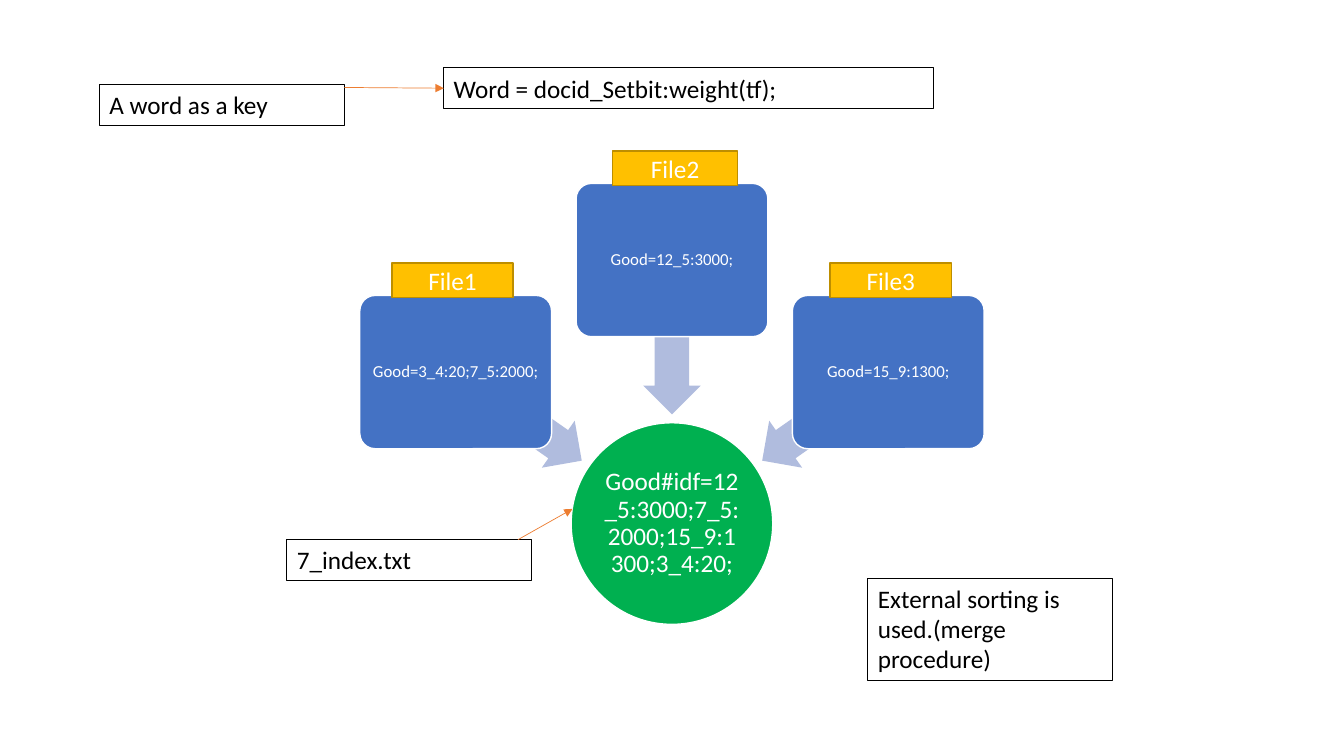
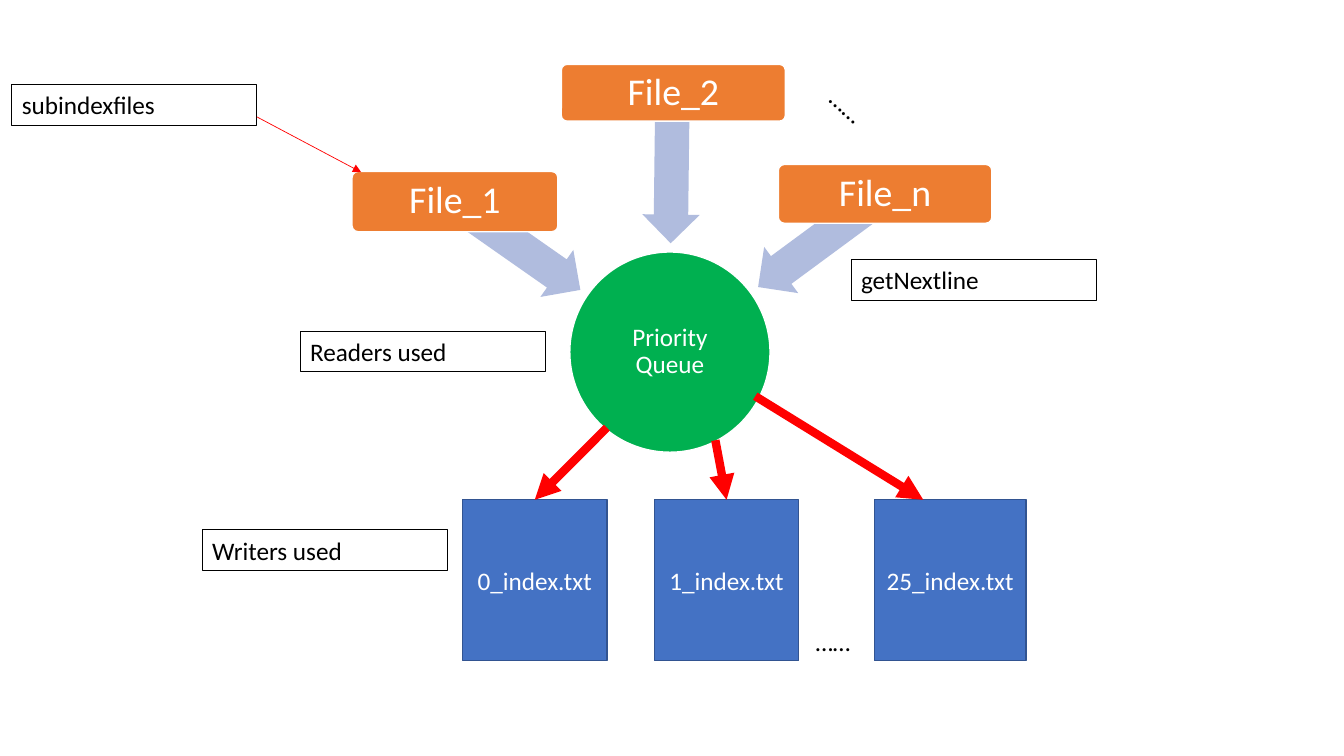
import pptx
import pptx.util
import pptx.dml.color
import pptx.enum.shapes
import pptx.enum.text
import pptx.oxml
import pptx.oxml.ns

Pt = pptx.util.Pt
RGBColor = pptx.dml.color.RGBColor
SHAPE = pptx.enum.shapes.MSO_SHAPE
ALIGN = pptx.enum.text.PP_ALIGN
ANCHOR = pptx.enum.text.MSO_ANCHOR

BLACK = RGBColor(0x00, 0x00, 0x00)
WHITE = RGBColor(0xFF, 0xFF, 0xFF)
BLUE = RGBColor(0x44, 0x72, 0xC4)
DARK_BLUE = RGBColor(0x32, 0x54, 0x91)
PALE_BLUE = RGBColor(0xB0, 0xBC, 0xDE)
GREEN = RGBColor(0x00, 0xB0, 0x50)
GOLD = RGBColor(0xFF, 0xC0, 0x00)
DARK_GOLD = RGBColor(0xBD, 0x8E, 0x00)
ORANGE = RGBColor(0xED, 0x7D, 0x31)
RED = RGBColor(0xFF, 0x00, 0x00)


class Diagram:
    font = "Calibri"
    text_size = 18
    note_width = 175
    note_height = 29

    def __init__(self):
        self.presentation = pptx.Presentation()
        self.presentation.slide_width = Pt(960)
        self.presentation.slide_height = Pt(540)
        self.slide = None

    def new_slide(self):
        self.slide = self.presentation.slides.add_slide(self.presentation.slide_layouts[6])

    def label(self, shape, text, color, size, alignment, anchor, inset=None, spacing=None):
        frame = shape.text_frame
        frame.word_wrap = True
        frame.vertical_anchor = anchor
        if inset is not None:
            frame.margin_left = frame.margin_right = Pt(inset)
            frame.margin_top = frame.margin_bottom = Pt(inset)
        frame.text = text
        paragraph = frame.paragraphs[0]
        paragraph.alignment = alignment
        paragraph.line_spacing = spacing
        font = paragraph.runs[0].font
        font.name, font.size, font.color.rgb = self.font, Pt(size), color

    def shape(self, kind, left, top, width, height, fill=None, line=None, line_width=1):
        shape = self.slide.shapes.add_shape(kind, Pt(left), Pt(top), Pt(width), Pt(height))
        shape.shadow.inherit = False
        if fill is None:
            shape.fill.background()
        else:
            shape.fill.solid()
            shape.fill.fore_color.rgb = fill
        if line is None:
            shape.line.fill.background()
        else:
            shape.line.color.rgb = line
            shape.line.width = Pt(line_width)
        return shape

    def note(self, text, left, top, width=note_width, height=note_height):
        shape = self.shape(SHAPE.RECTANGLE, left, top, width, height, None, BLACK, 0.75)
        self.label(shape, text, BLACK, self.text_size, ALIGN.LEFT, ANCHOR.TOP)
        return shape

    def block(self, text, left, top, width, height, fill, line):
        shape = self.shape(SHAPE.RECTANGLE, left, top, width, height, fill, line)
        self.label(shape, text, WHITE, self.text_size, ALIGN.CENTER, ANCHOR.MIDDLE)
        return shape

    def card(self, text, left, top, width, height, fill, size, inset):
        shape = self.shape(SHAPE.ROUNDED_RECTANGLE, left, top, width, height, fill, WHITE)
        shape.adjustments[0] = 0.1
        self.label(shape, text, WHITE, size, ALIGN.CENTER, ANCHOR.MIDDLE, inset, 0.9)

    def hub(self, text, left, top, diameter):
        shape = self.shape(SHAPE.OVAL, left, top, diameter, diameter, GREEN, WHITE)
        self.label(shape, text, WHITE, self.text_size, ALIGN.CENTER, ANCHOR.MIDDLE, 0.9, 0.9)

    def block_arrow(self, left, top, width, rotation):
        shape = self.shape(SHAPE.LEFT_ARROW, left, top, width, 41, PALE_BLUE)
        shape.adjustments[0] = 0.6
        shape.adjustments[1] = 0.5
        shape.rotation = rotation

    def dots(self, left, top, rotation=0):
        shape = self.slide.shapes.add_textbox(Pt(left), Pt(top), Pt(42), Pt(self.note_height))
        shape.rotation = rotation
        self.label(shape, "……", BLACK, self.text_size, ALIGN.LEFT, ANCHOR.TOP)

    def arrow(self, start, end, color, width=0.5, target=None, side=0):
        connector = self.slide.shapes.add_connector(
            pptx.enum.shapes.MSO_CONNECTOR.STRAIGHT, *(Pt(value) for value in start + end))
        if target is not None:
            connector.end_connect(target, side)
        connector.line.color.rgb = color
        connector.line.width = Pt(width)
        namespace = pptx.oxml.ns.nsdecls("a")
        line = connector.element.spPr.find(pptx.oxml.ns.qn("a:ln"))
        line.append(pptx.oxml.parse_xml(f'<a:tailEnd {namespace} type="triangle"/>'))
        line.addnext(pptx.oxml.parse_xml(f"<a:effectLst {namespace}/>"))


def build_merge_slide(diagram):
    diagram.new_slide()
    formula = diagram.note("Word = docid_Setbit:weight(tf);", 317, 48.5, 350)
    diagram.hub("Good#idf=12_5:3000;7_5:2000;15_9:1300;3_4:20;", 408, 302, 144)
    files = [
        ("File1", "Good=3_4:20;7_5:2000;", 211, 277, 215, 280, 86.5),
        ("File2", "Good=12_5:3000;", 131, 220.5, 270, 437.5, 89.5),
        ("File3", "Good=15_9:1300;", 211, 277, 325, 593, 86.5),
    ]
    for index, (name, entry, top, arrow_top, rotation, tab_left, tab_width) in enumerate(files):
        diagram.block_arrow(315.5 + 109.5 * index, arrow_top, 110, rotation)
        diagram.card(entry, 257 + 154.5 * index, top, 137, 109.5, BLUE, 12, 2.4)
        diagram.block(name, tab_left, top - 23, tab_width, 24.5, GOLD, DARK_GOLD)
    diagram.note("A word as a key", 71, 60.5)
    diagram.arrow((246, 62.5), (317, 63), ORANGE, target=formula, side=1)
    diagram.note("External sorting is used.(merge procedure)", 620, 413, height=73)
    diagram.note("7_index.txt", 205, 385.5)
    diagram.arrow((370, 385.5), (409, 363.5), ORANGE)


def build_queue_slide(diagram):
    diagram.new_slide()
    diagram.hub("Priority Queue", 407, 180, 143)
    sources = [
        ("File_1", (251.5, 122.5, 147, 43), (314.5, 155, 110, 215)),
        ("File_2", (401, 46, 160, 40.5), (426, 99.5, 107.5, 270.7)),
        ("File_n", (556, 117.5, 152.5, 42), (530.5, 151, 113, 323.6)),
    ]
    for name, box, arrow in sources:
        diagram.block_arrow(*arrow)
        diagram.card(name, *box, ORANGE, 27, 4.3)
    notes = [
        ("subindexfiles", 8.5, 60.5),
        ("Readers used", 214.5, 236.5),
        ("Writers used", 144.5, 378.5),
        ("getNextline", 608, 185.5),
    ]
    for note in notes:
        diagram.note(*note)
    diagram.arrow((183.5, 83.5), (258, 123), RED)
    diagram.dots(585.5, 62, 41.7)
    diagram.dots(575.5, 443.5)
    outputs = [
        ("0_index.txt", 330.5, 103, (433.5, 305.5), True),
        ("1_index.txt", 467.5, 103, (511, 314.5), True),
        ("25_index.txt", 624.5, 108.5, (539.5, 283), False),
    ]
    for name, left, width, start, joined in outputs:
        output = diagram.block(name, left, 357, width, 115, BLUE, DARK_BLUE)
        diagram.arrow(start, (659.5, 357), RED, 6, output if joined else None)


def main():
    diagram = Diagram()
    build_merge_slide(diagram)
    build_queue_slide(diagram)
    diagram.presentation.save("out.pptx")


if __name__ == "__main__":
    main()
